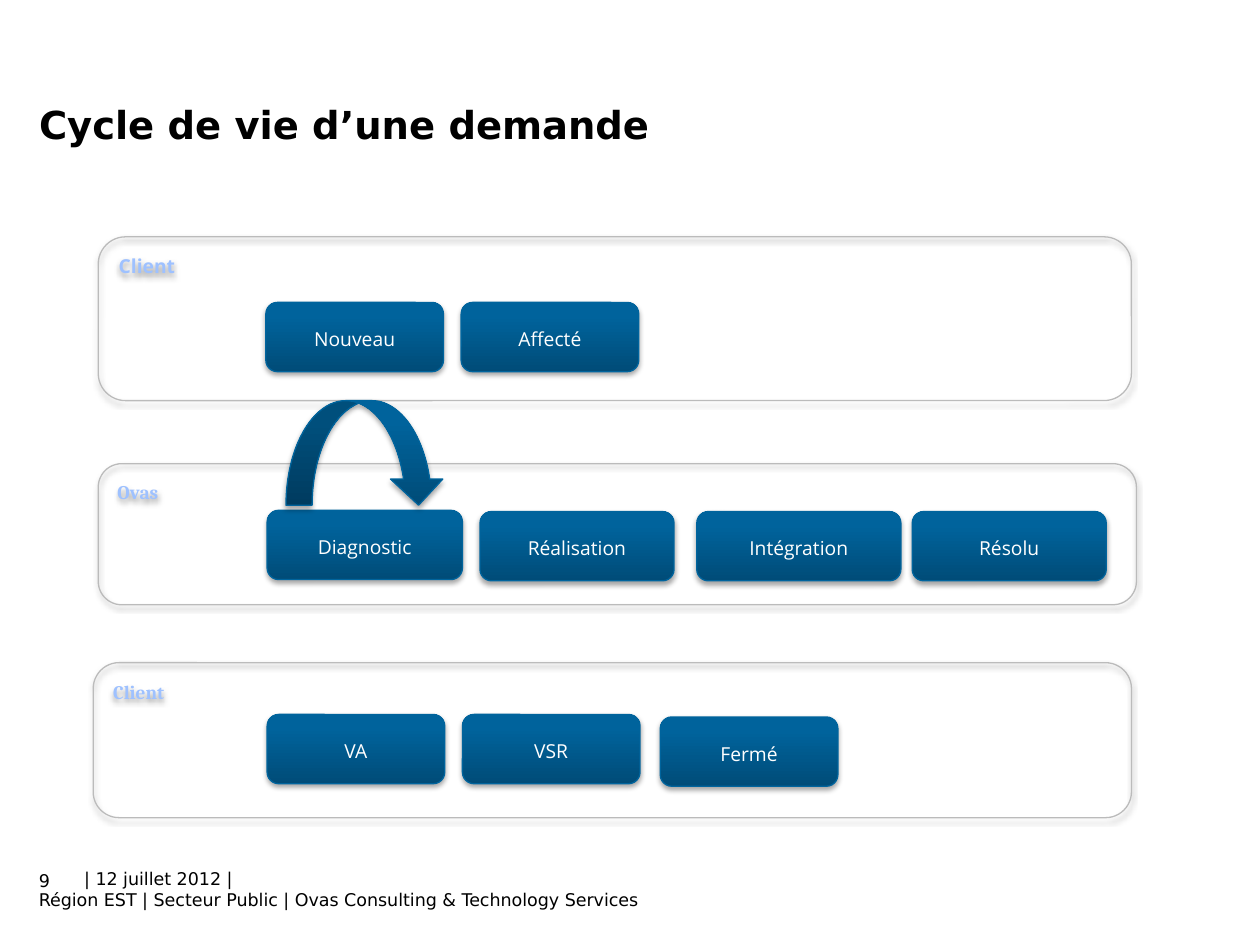
import copy
from dataclasses import dataclass

import pptx
import pptx.dml.color
import pptx.enum.shapes
import pptx.enum.text
import pptx.oxml
import pptx.oxml.ns
import pptx.util
from pptx.util import Inches

COLORS = {
    "text": "000000",
    "white": "FFFFFF",
    "band_line": "BBBBBB",
    "band_label": "9EC1FF",
    "box_dark": "004C78",
    "box_middle": "00639C",
    "box_light": "00639D",
    "box_line": "00649D",
}
BOX_HEIGHT = 0.55
SHAPES = pptx.enum.shapes.MSO_SHAPE
ALIGN = pptx.enum.text.PP_ALIGN
ANCHOR = pptx.enum.text.MSO_ANCHOR


@dataclass
class Step:
    label: str
    left: float
    top: float
    width: float = 1.41


@dataclass
class Band:
    label: str
    font: str
    left: float
    top: float
    width: float
    height: float
    steps: list[Step]


BANDS = [
    Band("Client", "Open Sans", 0.78, 1.88, 8.2, 1.3,
         [Step("Nouveau", 2.11, 2.4), Step("Affecté", 3.66, 2.4)]),
    Band("Ovas", "Cambria", 0.78, 3.68, 8.24, 1.12,
         [Step("Diagnostic", 2.12, 4.05, 1.55), Step("Réalisation", 3.81, 4.06, 1.54),
          Step("Intégration", 5.53, 4.06, 1.62), Step("Résolu", 7.24, 4.06, 1.54)]),
    Band("Client", "Cambria", 0.74, 5.26, 8.24, 1.23,
         [Step("VA", 2.12, 5.67), Step("VSR", 3.67, 5.67), Step("Fermé", 5.24, 5.69)]),
]


def rgb(name: str) -> pptx.dml.color.RGBColor:
    return pptx.dml.color.RGBColor.from_string(COLORS[name])


def add_run(paragraph, text: str, font: str, size: float, color: str, bold: bool = False) -> None:
    run = paragraph.add_run()
    run.text = text
    run.font.name = font
    run.font.size = pptx.util.Pt(size)
    run.font.bold = bold
    run.font.color.rgb = rgb(color)


def set_shadow(shape, opacity: int, distance: float) -> None:
    shape.shadow.inherit = False
    effects = shape._element.spPr.find(pptx.oxml.ns.qn("a:effectLst"))
    effects.append(pptx.oxml.parse_xml(
        f'<a:outerShdw {pptx.oxml.ns.nsdecls("a")} blurRad="{pptx.util.Pt(3.1)}" '
        f'dist="{pptx.util.Pt(distance)}" dir="5400000" rotWithShape="0">'
        f'<a:srgbClr val="000000"><a:alpha val="{opacity * 1000}"/></a:srgbClr></a:outerShdw>'))


def add_outlined(slide, kind, left: float, top: float, width: float, height: float, line: str):
    shape = slide.shapes.add_shape(kind, Inches(left), Inches(top), Inches(width), Inches(height))
    shape.line.color.rgb = rgb(line)
    shape.line.width = pptx.util.Pt(0.75)
    return shape


def add_blue_shape(slide, kind, left: float, top: float, width: float, height: float):
    shape = add_outlined(slide, kind, left, top, width, height, "box_line")
    shape.fill.gradient()
    shape.fill.gradient_angle = 90
    stop_list = next(shape._element.spPr.iter(pptx.oxml.ns.qn("a:gsLst")))
    stop_list.append(copy.deepcopy(stop_list[-1]))
    stops = [(0, "box_dark"), (0.8, "box_middle"), (1, "box_light")]
    for stop, (position, color) in zip(shape.fill.gradient_stops, stops):
        stop.position = position
        stop.color.rgb = rgb(color)
    set_shadow(shape, 35, 1.8)
    return shape


def add_label(shape, text: str, font: str, color: str, align, anchor, bold: bool = False) -> None:
    shape.text_frame.vertical_anchor = anchor
    paragraph = shape.text_frame.paragraphs[0]
    paragraph.alignment = align
    paragraph.line_spacing = 1.15
    paragraph.space_after = pptx.util.Pt(10)
    add_run(paragraph, text, font, 11, color, bold)


def add_band(slide, band: Band) -> None:
    frame = add_outlined(slide, SHAPES.ROUNDED_RECTANGLE, band.left, band.top,
                         band.width, band.height, "band_line")
    frame.fill.background()
    set_shadow(frame, 38, 1.6)
    add_label(frame, band.label, band.font, "band_label", ALIGN.LEFT, ANCHOR.TOP, bold=True)
    for step in band.steps:
        box = add_blue_shape(slide, SHAPES.ROUNDED_RECTANGLE, step.left, step.top,
                             step.width, BOX_HEIGHT)
        add_label(box, step.label, "Open Sans", "white", ALIGN.CENTER, ANCHOR.MIDDLE)


def add_text(slide, lines: list[str], left: float, top: float, width: float, height: float, anchor):
    box = slide.shapes.add_textbox(Inches(left), Inches(top), Inches(width), Inches(height))
    frame = box.text_frame
    frame.word_wrap = True
    frame.vertical_anchor = anchor
    for index, line in enumerate(lines):
        paragraph = frame.add_paragraph() if index else frame.paragraphs[0]
        add_run(paragraph, line, "DejaVu Sans", 10, "text")
    return frame


def main() -> None:
    presentation = pptx.Presentation()
    presentation.slide_width = Inches(10)
    presentation.slide_height = Inches(7.5)
    slide = presentation.slides.add_slide(presentation.slide_layouts[5])

    # Title
    title = slide.shapes.title
    title.left, title.top = Inches(0.21), Inches(0.79)
    title.width, title.height = Inches(9.5), Inches(0.39)
    title.text_frame.vertical_anchor = ANCHOR.MIDDLE
    title.text_frame.auto_size = pptx.enum.text.MSO_AUTO_SIZE.NONE
    paragraph = title.text_frame.paragraphs[0]
    paragraph.alignment = ALIGN.LEFT
    add_run(paragraph, "Cycle de vie d’une demande", "DejaVu Sans", 22, "text", bold=True)

    # Footer, its first line indented to clear the page number
    footer = add_text(slide, ["| 12 juillet 2012 |",
                              "Région EST | Secteur Public | Ovas Consulting & Technology Services"],
                      0.21, 6.84, 6.3, 0.44, ANCHOR.TOP)
    footer.paragraphs[0]._p.get_or_add_pPr().set("indent", str(Inches(0.36)))
    add_text(slide, ["9"], 0.21, 6.79, 0.7, 0.4, ANCHOR.MIDDLE)

    # Bands with their steps, then the loop arrow above the diagnostic step
    for band in BANDS:
        add_band(slide, band)
    add_blue_shape(slide, SHAPES.CURVED_DOWN_ARROW, 2.27, 3.18, 1.26, 0.83)

    presentation.save("out.pptx")


if __name__ == "__main__":
    main()
